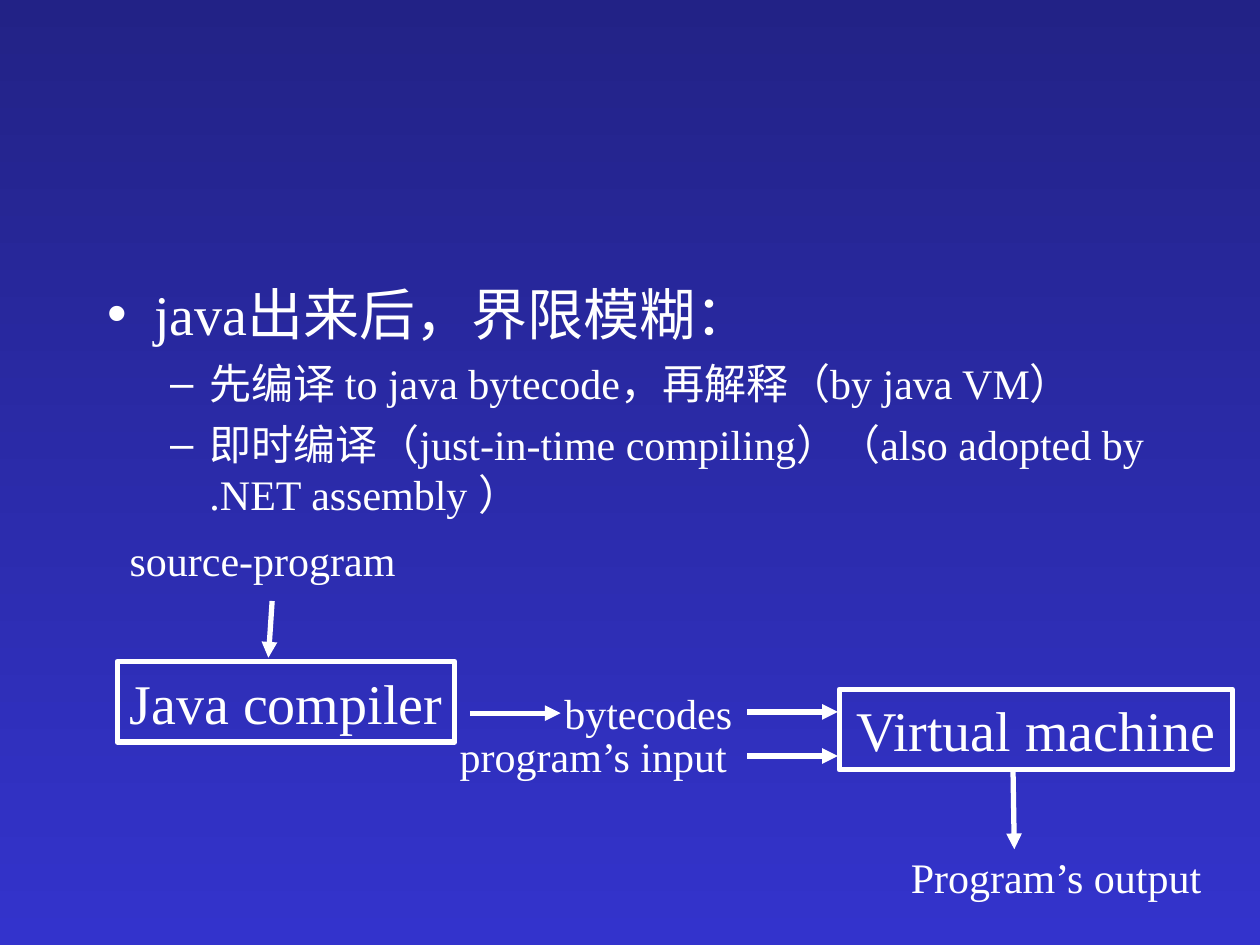
from lxml import etree
from pptx import Presentation
from pptx import util as u
from pptx.dml.color import RGBColor
from pptx.enum import shapes, text
from pptx.oxml.ns import qn

CELL = 0.1  # the slide is a grid of 100 columns by 75 rows


def grid(*cells):
    return [u.Inches(cell * CELL) for cell in cells]


def color(hex_value):
    return RGBColor.from_string(hex_value)


def write(paragraph, words, size, font, ink, before=0, level=0, align=None):
    paragraph.level = level
    paragraph.alignment = align
    paragraph.space_before = u.Pt(before)
    run = paragraph.add_run()
    run.text = words
    run.font.size = u.Pt(size)
    run.font.name = font
    run.font.color.rgb = color(ink)


class Board:
    """Holds the style and the slide being drawn."""

    font = "Times New Roman"
    ink = "FFFFFF"
    sky = ("222286", "3333CC")
    large, small = 32, 24
    line_width = 3

    def __init__(self, presentation):
        layout = presentation.slide_layouts.get_by_name("Title and Content")
        self.slide = presentation.slides.add_slide(layout)
        title = self.slide.shapes.title
        title.element.getparent().remove(title.element)

    def background(self):
        fill = self.slide.background.fill
        fill.gradient()
        fill.gradient_angle = 270
        for stop, hex_value, position in zip(fill.gradient_stops, self.sky, (0, 1)):
            stop.color.rgb = color(hex_value)
            stop.position = position

    def bullets(self, left, top, width, height, heading, points):
        body = self.slide.placeholders[1]
        body.left, body.top, body.width, body.height = grid(left, top, width, height)
        frame = body.text_frame
        frame.auto_size = text.MSO_AUTO_SIZE.NONE
        write(frame.paragraphs[0], heading, self.large, self.font, self.ink)
        for point in points:
            write(frame.add_paragraph(), point, self.small, self.font, self.ink,
                  before=6, level=1)

    def fill_frame(self, shape, words, size, wrap, align):
        frame = shape.text_frame
        frame.word_wrap = wrap
        frame.vertical_anchor = text.MSO_ANCHOR.MIDDLE
        write(frame.paragraphs[0], words, size, self.font, self.ink, align=align)

    def label(self, words, left, top, width, height=5, wrap=False):
        box = self.slide.shapes.add_textbox(*grid(left, top, width, height))
        self.fill_frame(box, words, self.small, wrap, text.PP_ALIGN.LEFT)

    def process(self, words, left, top, width, height=6.4):
        box = self.slide.shapes.add_shape(
            shapes.MSO_SHAPE.RECTANGLE, *grid(left, top, width, height))
        box.shadow.inherit = False
        box.fill.background()
        self.outline(box.line)
        self.fill_frame(box, words, self.large, False, text.PP_ALIGN.CENTER)

    def outline(self, line):
        line.color.rgb = color(self.ink)
        line.width = u.Pt(self.line_width)

    def arrow(self, x1, y1, x2, y2):
        connector = self.slide.shapes.add_connector(
            shapes.MSO_CONNECTOR.STRAIGHT, *grid(x1, y1, x2, y2))
        self.outline(connector.line)
        properties = connector.element.spPr
        etree.SubElement(properties.find(qn("a:ln")), qn("a:tailEnd"), type="triangle")
        etree.SubElement(properties, qn("a:effectLst"))


def main():
    presentation = Presentation()
    presentation.slide_width, presentation.slide_height = grid(100, 75)
    board = Board(presentation)
    board.background()
    board.bullets(7.5, 21.7, 85, 45, "java出来后，界限模糊：", [
        "先编译 to java bytecode，再解释（by java VM）",
        "即时编译（just-in-time compiling）（also adopted by .NET assembly ）",
    ])

    board.process("Java compiler", 9.3, 52.5, 26.8)
    board.process("Virtual machine", 66.6, 54.7, 31.2)

    board.label("source-program", 9.3, 41.9, 23.1)
    board.label("bytecodes", 43.8, 54.1, 24.8, wrap=True)
    board.label("program’s input", 35.5, 57.5, 24.8, wrap=True)
    board.label("Program’s output", 71.3, 67.1, 25.2)

    board.arrow(21.6, 47.7, 21.3, 52.2)
    board.arrow(80.4, 61.1, 80.5, 67.4)
    for left, row in ((37.3, 56.6), (59.3, 56.5), (59.3, 60)):
        board.arrow(left, row, left + 7.2, row)

    presentation.save("out.pptx")


if __name__ == "__main__":
    main()
